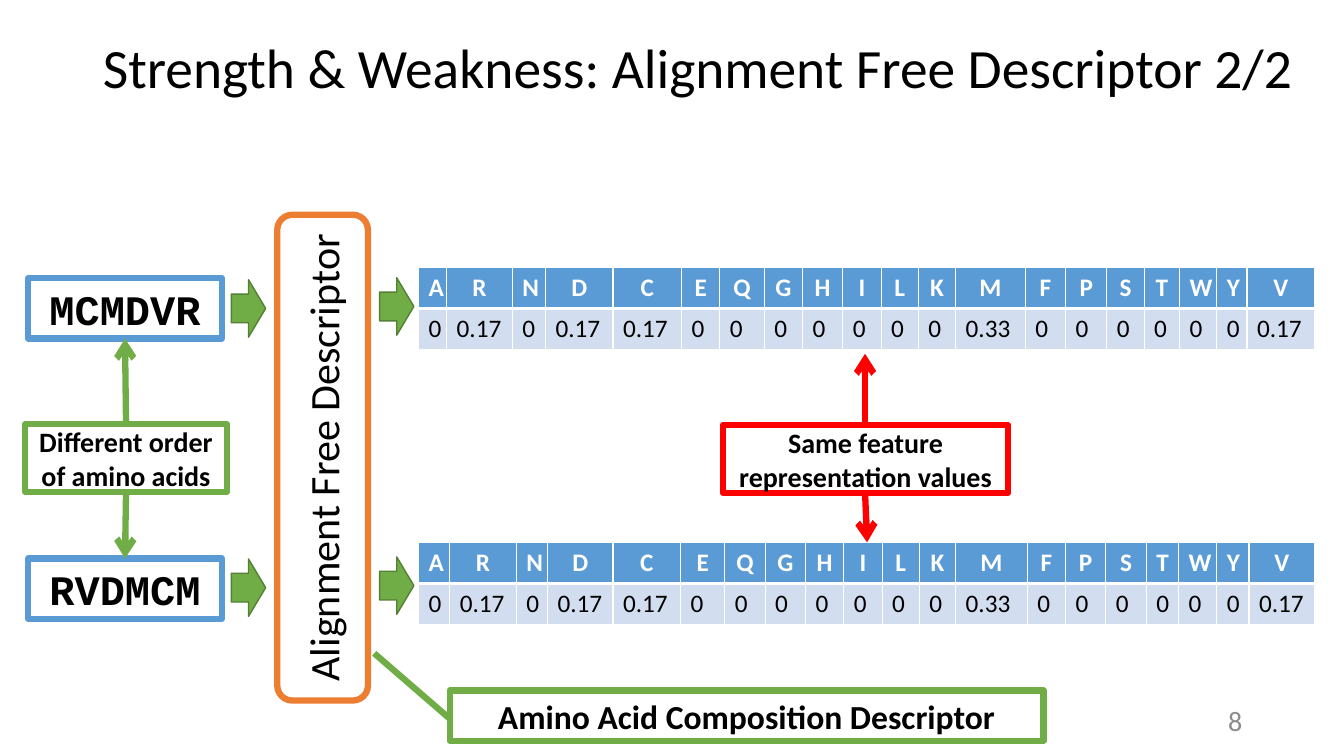
"""Build the slide on strengths and weaknesses of the alignment free descriptor."""
from lxml.etree import SubElement
from pptx import Presentation
from pptx.dml.color import RGBColor
from pptx.enum.shapes import MSO_CONNECTOR, MSO_SHAPE
from pptx.enum.text import MSO_ANCHOR, MSO_AUTO_SIZE, PP_ALIGN
from pptx.oxml.ns import qn
from pptx.util import Inches, Pt

COLS, ROWS = 1333, 750
CELL = Inches(0.01)
COLORS = {"white": "FFFFFF", "black": "000000", "gray": "8C8C8C", "blue": "5B9BD5",
          "pale": "D2DEEF", "orange": "ED7D31", "green": "70AD47",
          "dark green": "538035", "red": "FF0000"}

TITLE = "Strength & Weakness: Alignment Free Descriptor 2/2"
PAGE = "8"
DESCRIPTOR = "Alignment Free Descriptor"
CALLOUT = "Amino Acid Composition Descriptor"
CALLOUT_LINE = (0.569, 0.001, -0.737, -0.127)
AMINO_ACIDS = "ARNDCEQGHILKMFPSTWYV"
FEATURES = {"R": "0.17", "D": "0.17", "C": "0.17", "M": "0.33", "V": "0.17"}
SEQUENCES = [
    {"text": "MCMDVR", "box": 276, "arrows": (289, 287), "table": 265,
     "widths": (28, 65, 33, 67, 68, 38, 44, 38, 40, 38,
                37, 37, 69, 40, 41, 37, 35, 37, 30, 67)},
    {"text": "RVDMCM", "box": 554, "arrows": (566, 564), "table": 538,
     "widths": (31, 66, 31, 65, 67, 44, 40, 40, 38, 38,
                37, 36, 71, 38, 40, 40, 32, 38, 32, 65)},
]
NOTES = [
    {"text": "Different order of amino acids", "color": "green",
     "box": (25, 421, 200, 67), "tips": ((124, 336), (124, 554))},
    {"text": "Same feature representation values", "color": "red",
     "box": (717, 422, 283, 67), "tips": ((858, 351), (860, 538))},
]
ARROW_LEFTS = (218, 365)
ARROW_SIZE = (57, 34)
TABLE_LEFT, ROW_HEIGHT = 415, 41


def rgb(name):
    return RGBColor.from_string(COLORS[name])


def grid(*counts):
    return [n * CELL for n in counts]


def write(tf, text, size, color="black", bold=False, font="Calibri",
          align=PP_ALIGN.CENTER):
    for key, value in {"word_wrap": True, "auto_size": MSO_AUTO_SIZE.NONE,
                       "vertical_anchor": MSO_ANCHOR.MIDDLE}.items():
        setattr(tf, key, value)
    style_text(tf.paragraphs[0], text, size, color, bold, font, align)


def style_text(p, text, size, color, bold, font, align):
    p.alignment = align
    r = p.add_run()
    r.text = text
    for key, value in {"size": Pt(size), "bold": bold, "name": font}.items():
        setattr(r.font, key, value)
    r.font.color.rgb = rgb(color)


def add_box(shapes, kind, box, line, fill="white", width=4.5, rotation=0):
    sp = shapes.add_shape(kind, *grid(*box))
    sp.shadow.inherit = False
    sp.rotation = rotation
    sp.fill.solid()
    sp.fill.fore_color.rgb = rgb(fill)
    sp.line.color.rgb = rgb(line)
    sp.line.width = Pt(width)
    return sp


def add_arrow(shapes, start, end, color):
    line = shapes.add_connector(MSO_CONNECTOR.STRAIGHT, *grid(*start, *end))
    line.line.color.rgb = rgb(color)
    line.line.width = Pt(4.5)
    SubElement(line.line._get_or_add_ln(), qn("a:tailEnd"), type="arrow")
    SubElement(line._element.spPr, qn("a:effectLst"))


def set_borders(cell, bottom):
    props = cell._tc.get_or_add_tcPr()
    widths = {"lnL": 1, "lnR": 1, "lnT": 1, "lnB": bottom}
    for i, (side, width) in enumerate(widths.items()):
        ln = SubElement(props, qn(f"a:{side}"), w=str(Pt(width)))
        fill = SubElement(ln, qn("a:solidFill"))
        SubElement(fill, qn("a:srgbClr"), val=COLORS["white"])
        props.insert(i, ln)


def add_features(shapes, top, widths):
    box = grid(TABLE_LEFT, top, sum(widths), 2 * ROW_HEIGHT)
    table = shapes.add_table(2, len(widths), *box).table
    table.horz_banding = False
    for column, width in zip(table.columns, widths):
        column.width = width * CELL
    values = [FEATURES.get(letter, "0") for letter in AMINO_ACIDS]
    rows = [(AMINO_ACIDS, "blue", "white", True, PP_ALIGN.CENTER, 3),
            (values, "pale", "black", False, PP_ALIGN.LEFT, 1)]
    for i, (texts, fill, color, bold, align, bottom) in enumerate(rows):
        table.rows[i].height = ROW_HEIGHT * CELL
        for j, text in enumerate(texts):
            cell = table.cell(i, j)
            cell.fill.solid()
            cell.fill.fore_color.rgb = rgb(fill)
            style_text(cell.text_frame.paragraphs[0], text, 18, color, bold,
                       "Calibri", align)
            set_borders(cell, bottom)


def add_note(shapes, text, color, box, tips):
    group = shapes.add_group_shape().shapes
    sp = add_box(group, MSO_SHAPE.RECTANGLE, box, color)
    write(sp.text_frame, text, 20, bold=True)
    left, top, width, height = box
    for tip, edge in zip(tips, (top, top + height)):
        add_arrow(group, (left + width // 2, edge), tip, color)


def main():
    prs = Presentation()
    prs.slide_width, prs.slide_height = grid(COLS, ROWS)
    s = prs.slides.add_slide(prs.slide_layouts[5])
    title = s.shapes.title
    title.left, title.top, title.width, title.height = grid(92, 40, 1204, 60)
    write(title.text_frame, TITLE, 39.6, align=PP_ALIGN.LEFT)
    title.text_frame.paragraphs[0].line_spacing = 0.9
    page = s.shapes.add_textbox(*grid(942, 695, 300, 40))
    write(page.text_frame, PAGE, 20, "gray", align=PP_ALIGN.RIGHT)

    sp = add_box(s.shapes, MSO_SHAPE.ROUNDED_RECTANGLE, (79, 409, 482, 90),
                 "orange", rotation=270)
    write(sp.text_frame, DESCRIPTOR, 30)
    for seq in SEQUENCES:
        sp = add_box(s.shapes, MSO_SHAPE.RECTANGLE, (28, seq["box"], 192, 60), "blue")
        write(sp.text_frame, seq["text"], 30, bold=True, font="Courier New")
        add_features(s.shapes, seq["table"], seq["widths"])
        for left, top in zip(ARROW_LEFTS, seq["arrows"]):
            add_box(s.shapes, MSO_SHAPE.DOWN_ARROW, (left, top, *ARROW_SIZE),
                    "dark green", "green", 1, 270)

    sp = add_box(s.shapes, MSO_SHAPE.LINE_CALLOUT_1, (446, 685, 589, 50), "green")
    for i, value in enumerate(CALLOUT_LINE):
        sp.adjustments[i] = value
    write(sp.text_frame, CALLOUT, 24, bold=True)
    for note in NOTES:
        add_note(s.shapes, **note)
    prs.save("out.pptx")


if __name__ == "__main__":
    main()
